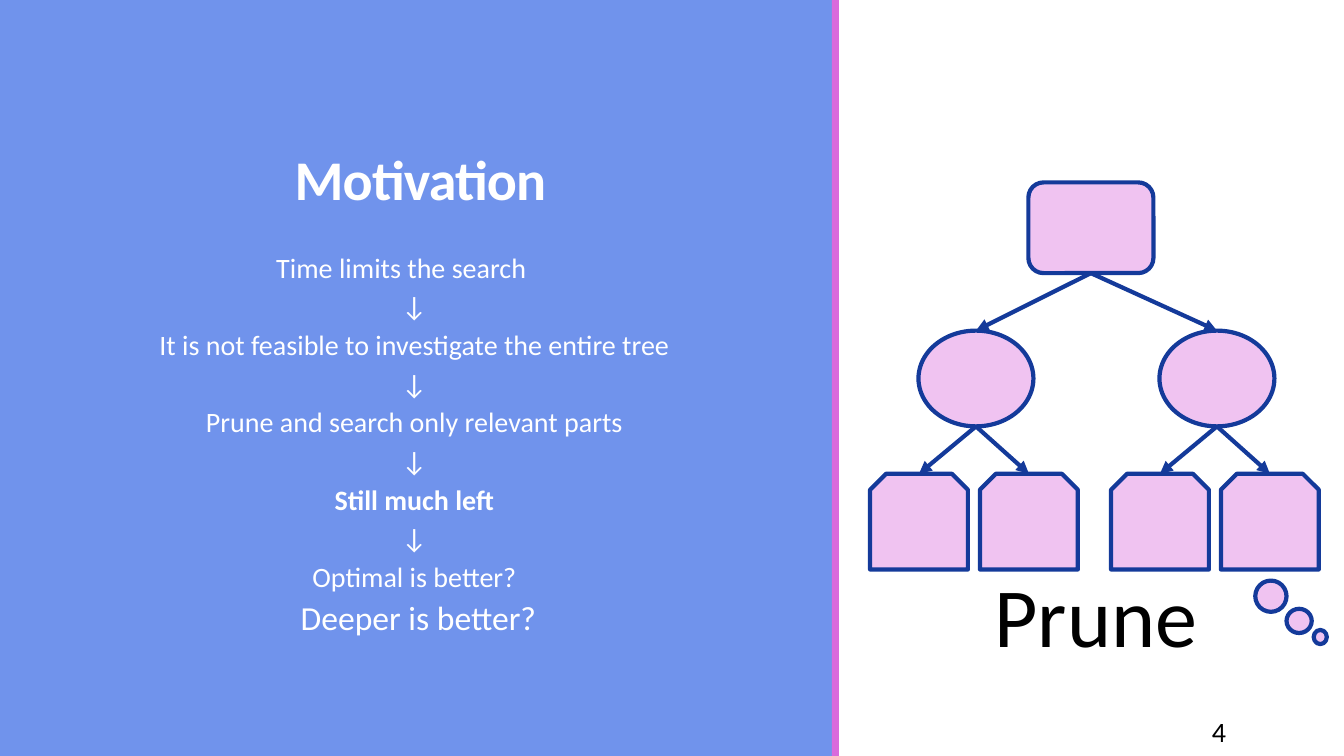
from dataclasses import dataclass

from lxml import etree
from pptx import Presentation
from pptx.dml.color import RGBColor
from pptx.enum.shapes import MSO_CONNECTOR, MSO_SHAPE
from pptx.enum.text import MSO_ANCHOR, PP_ALIGN
from pptx.oxml.ns import qn
from pptx.util import Inches, Pt

RECTANGLE = MSO_SHAPE.RECTANGLE
ROUNDED = MSO_SHAPE.ROUNDED_RECTANGLE
OVAL = MSO_SHAPE.OVAL
SNIPPED = MSO_SHAPE.SNIP_2_SAME_RECTANGLE
STRAIGHT = MSO_CONNECTOR.STRAIGHT
TOP, MIDDLE, BOTTOM = MSO_ANCHOR.TOP, MSO_ANCHOR.MIDDLE, MSO_ANCHOR.BOTTOM
CENTER, RIGHT = PP_ALIGN.CENTER, PP_ALIGN.RIGHT

COLORS = {
    "panel": "7093EC",
    "divider": "D96ADC",
    "node": "F0C3F1",
    "outline": "143A9A",
    "light": "FFFFFF",
    "dark": "000000",
}
FONT = "Calibri"
LINE_WIDTH = Pt(3)


@dataclass(frozen=True)
class Box:
    left: float
    top: float
    width: float
    height: float

    @property
    def center(self) -> float:
        return self.left + self.width / 2

    @property
    def bottom(self) -> float:
        return self.top + self.height

    def lengths(self) -> list:
        return [Inches(value) for value in (self.left, self.top, self.width, self.height)]


@dataclass(frozen=True)
class Line:
    text: str
    size: float = 20
    bold: bool = False
    left_margin: float = 0
    right_margin: float = 0


def add_filled_shape(slide, kind, box: Box, fill: str, outline: str = "") -> None:
    shape = slide.shapes.add_shape(kind, *box.lengths())
    shape.shadow.inherit = False
    shape.fill.solid()
    shape.fill.fore_color.rgb = RGBColor.from_string(COLORS[fill])
    if outline:
        shape.line.color.rgb = RGBColor.from_string(COLORS[outline])
        shape.line.width = LINE_WIDTH
    else:
        shape.line.fill.background()


def add_arrow(slide, parent: Box, child: Box) -> None:
    """Join the bottom of a parent to the top of its child."""
    arrow = slide.shapes.add_connector(
        STRAIGHT, Inches(parent.center), Inches(parent.bottom),
        Inches(child.center), Inches(child.top))
    arrow.line.color.rgb = RGBColor.from_string(COLORS["outline"])
    arrow.line.width = LINE_WIDTH
    outline = arrow.line._get_or_add_ln()
    etree.SubElement(outline, qn("a:tailEnd"), type="triangle")
    etree.SubElement(arrow._element.spPr, qn("a:effectLst"))


def add_text(slide, box: Box, lines: list[Line], *, color: str, align=CENTER,
             anchor=TOP, line_spacing: float = 0.9, space_after: float = 0,
             side_inset: float = 0, character_spacing: int = 0) -> None:
    frame = slide.shapes.add_textbox(*box.lengths()).text_frame
    frame.word_wrap = True
    frame.vertical_anchor = anchor
    frame.margin_left = frame.margin_right = Inches(side_inset)
    for index, line in enumerate(lines):
        paragraph = frame.paragraphs[0] if index == 0 else frame.add_paragraph()
        properties = paragraph._p.get_or_add_pPr()
        properties.set("marL", str(Inches(line.left_margin)))
        properties.set("marR", str(Inches(line.right_margin)))
        paragraph.alignment = align
        paragraph.line_spacing = line_spacing
        paragraph.space_after = Pt(space_after)
        run = paragraph.add_run()
        run.text = line.text
        run.font.name = FONT
        run.font.size = Pt(line.size)
        run.font.bold = line.bold
        run.font.color.rgb = RGBColor.from_string(COLORS[color])
        if character_spacing:
            run._r.get_or_add_rPr().set("spc", str(character_spacing))


# Tree: one root, two branches, two leaves under each branch
ROOT = Box(10.2, 1.81, 1.24, 0.9)
BRANCHES = [Box(left, 3.28, 1.14, 0.95) for left in (9.11, 11.5)]
LEAF_OFFSETS = (-0.48, 0.61)

# Trail of shrinking circles beside the last leaf
TRAIL = [
    Box(12.45, 5.76, 0.31, 0.31),
    Box(12.76, 6.04, 0.25, 0.24),
    Box(13.03, 6.25, 0.13, 0.14),
]

DOWN = Line("↓")
REASONING = [
    Line("Time limits the search", right_margin=0.26),
    DOWN,
    Line("It is not feasible to investigate the entire tree"),
    DOWN,
    Line("Prune and search only relevant parts"),
    DOWN,
    Line("Still much left", bold=True),
    DOWN,
    Line("Optimal is better?"),
    Line("Deeper is better?", size=24, left_margin=0.08),
]


def draw_tree(slide) -> None:
    nodes = [(ROUNDED, ROOT)]
    for branch in BRANCHES:
        nodes.append((OVAL, branch))
        add_arrow(slide, ROOT, branch)
        for offset in LEAF_OFFSETS:
            leaf = Box(branch.left + offset, 4.7, 0.97, 0.95)
            nodes.append((SNIPPED, leaf))
            add_arrow(slide, branch, leaf)
    nodes += [(OVAL, circle) for circle in TRAIL]
    for kind, box in nodes:
        add_filled_shape(slide, kind, box, "node", "outline")


def main() -> None:
    presentation = Presentation()
    presentation.slide_width = Inches(13.33)
    presentation.slide_height = Inches(7.5)
    slide = presentation.slides.add_slide(presentation.slide_layouts[6])

    # Left panel and divider
    add_filled_shape(slide, RECTANGLE, Box(0, 0, 8.25, 7.5), "panel")
    add_filled_shape(slide, RECTANGLE, Box(8.25, 0, 0.07, 7.5), "divider")

    # Title and chain of reasoning
    add_text(slide, Box(0.9, 0.33, 6.54, 1.82), [Line("Motivation", size=40, bold=True)],
             color="light", anchor=BOTTOM, line_spacing=0.85, side_inset=0.1,
             character_spacing=-50)
    add_text(slide, Box(1.09, 2.47, 6.04, 3.99), REASONING, color="light", space_after=6)

    # Tree with its caption
    draw_tree(slide)
    add_text(slide, Box(8.85, 5.65, 4.04, 1.1), [Line("Prune", size=60)], color="dark")

    # Slide number
    add_text(slide, Box(10.83, 7.06, 1.43, 0.4), [Line("4")], color="dark", align=RIGHT,
             anchor=MIDDLE, line_spacing=1.0, side_inset=0.1)

    presentation.save("out.pptx")


if __name__ == "__main__":
    main()
